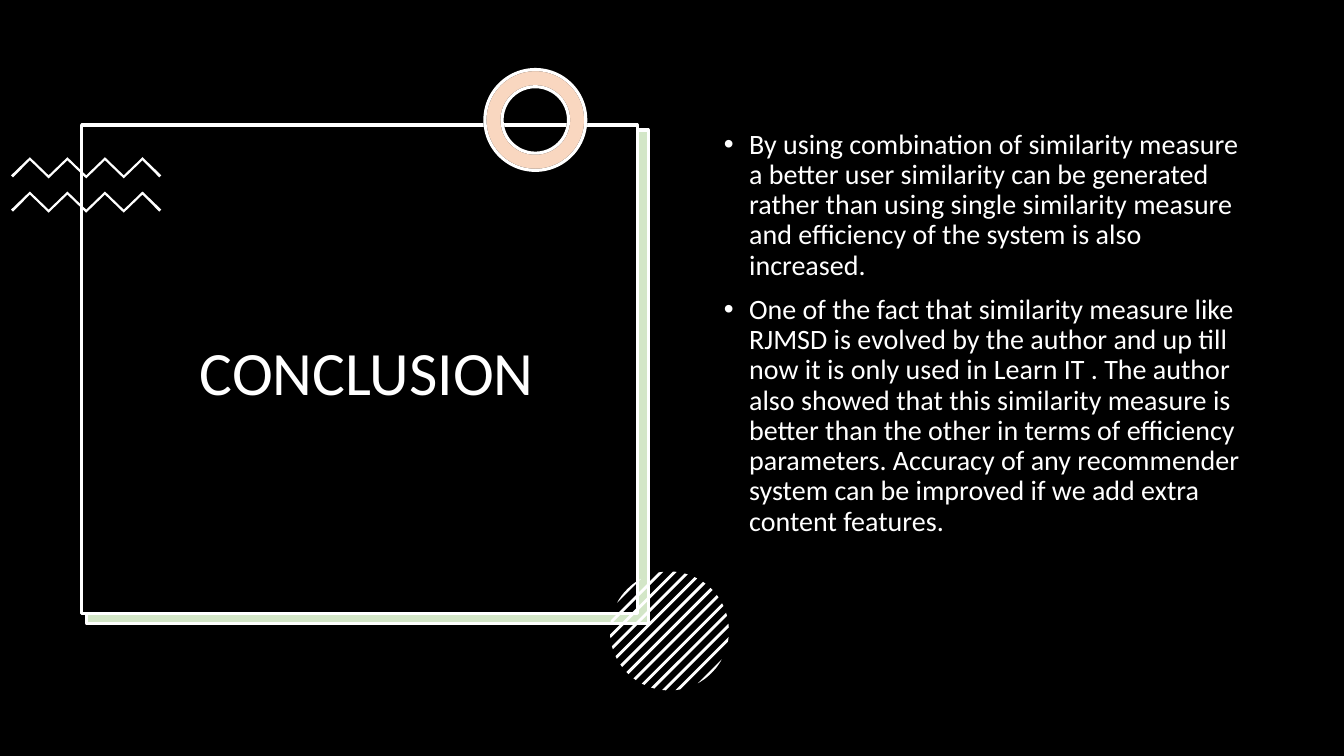
from math import acos, cos, pi, sin

from lxml import etree
from pptx import Presentation
from pptx.dml.color import RGBColor
from pptx.enum.shapes import MSO_SHAPE
from pptx.enum.text import MSO_ANCHOR, MSO_AUTO_SIZE, PP_ALIGN
from pptx.oxml.ns import qn
from pptx.util import Pt

RECT, DONUT = MSO_SHAPE.RECTANGLE, MSO_SHAPE.DONUT
TOP, MIDDLE = MSO_ANCHOR.TOP, MSO_ANCHOR.MIDDLE
LEFT, CENTER = PP_ALIGN.LEFT, PP_ALIGN.CENTER
NO_AUTOFIT = MSO_AUTO_SIZE.NONE

PX = 9144  # EMU per px, 100 px to the inch
FONT = "Calibri"
COLORS = {"black": "000000", "white": "FFFFFF", "green": "70AD47", "orange": "ED7D31"}

CONCLUSIONS = [
    "By using combination of similarity measure a better user similarity can be generated "
    "rather than using single similarity measure and efficiency of the system is also increased.",
    "One of the fact that similarity measure like RJMSD is evolved by the author and up till "
    "now it is only used in Learn IT . The author also showed that this similarity measure is "
    "better than the other in terms of efficiency parameters. Accuracy of any recommender "
    "system can be improved if we add extra content features.",
]


def emu(*lengths):
    return [round(length * PX) for length in lengths]


def color(name):
    return RGBColor.from_string(COLORS[name])


def paint(shape, fill, line=None, alpha=None):
    shape.shadow.inherit = False
    shape.fill.solid()
    shape.fill.fore_color.rgb = color(fill)
    if alpha:
        fill_color = shape.element.find(".//" + qn("a:srgbClr"))
        etree.SubElement(fill_color, qn("a:alpha"), val=str(alpha * 1000))
    if line:
        shape.line.color.rgb = color(line)
        shape.line.width = Pt(2.25)
    else:
        shape.line.fill.background()


def add_preset(shapes, preset, box, fill, **look):
    shape = shapes.add_shape(preset, *emu(*box))
    paint(shape, fill, **look)
    return shape


def add_outline(shapes, points, fill):
    corners = [emu(*point) for point in points]
    builder = shapes.build_freeform(*corners[0])
    builder.add_line_segments(corners[1:], close=True)
    paint(builder.convert_to_shape(), fill)


def write(frame, paragraphs, size, align=LEFT, anchor=TOP, bullet=None, gap=0):
    frame.word_wrap = True
    frame.auto_size = NO_AUTOFIT
    frame.vertical_anchor = anchor
    for i, text in enumerate(paragraphs):
        paragraph = frame.paragraphs[0] if i == 0 else frame.add_paragraph()
        paragraph.text = text
        paragraph.alignment = align
        paragraph.line_spacing = 0.9
        paragraph.space_before = Pt(gap if i else 0)
        if bullet:
            properties = paragraph._p.get_or_add_pPr()
            indent = emu(25)[0]
            properties.set("marL", str(indent))
            properties.set("indent", str(-indent))
            etree.SubElement(properties, qn("a:buFont"), typeface="Arial")
            etree.SubElement(properties, qn("a:buChar"), char=bullet)
        for run in paragraph.runs:
            run.font.name = FONT
            run.font.size = Pt(size)
            run.font.color.rgb = color("white")


def place(placeholder, box):
    """Move a placeholder to its box, in front of the decoration."""
    placeholder.left, placeholder.top, placeholder.width, placeholder.height = emu(*box)
    placeholder.element.getparent().append(placeholder.element)


def draw_panel(shapes, x, y, w, h):
    """Framed black panel with a pale green offset edge."""
    add_preset(shapes, RECT, (x + 4, y + 6, w + 6, h + 5), "white")
    add_preset(shapes, RECT, (x + 5, y + 5, w + 6, h + 5), "green", line="white", alpha=30)
    add_preset(shapes, RECT, (x, y, w, h), "black", line="white")


def draw_zigzags(shapes, x, y, w, h, pitch, rows=2, segments=8, stroke=3):
    """Zigzag strokes, one under the other; h is the height of one."""
    group = shapes.add_group_shape()
    for row in range(rows):
        top = y + row * pitch
        upper = [(x + w * i / segments, top + (0 if i % 2 else h - stroke))
                 for i in range(segments + 1)]
        lower = [(px, py + stroke) for px, py in upper[1:-1]]
        end_y = top + h - 1
        add_outline(group.shapes,
                    upper + [(x + w - 2, end_y)] + lower[::-1] + [(x + 2, end_y)], "white")


def draw_ring(shapes, x, y, size):
    """Peach ring: a tint over a white base."""
    for fill, line, alpha in (("white", "black", None), ("orange", "white", 30)):
        ring = add_preset(shapes, DONUT, (x, y, size, size), fill, line=line, alpha=alpha)
        ring.adjustments[0] = 0.17


def draw_hatched_disc(shapes, x, y, size, side_strips=6, pitch=9.43, stroke=2.9, steps=8):
    """Diagonal strips clipped to a circle."""
    group = shapes.add_group_shape()
    radius = size / 2

    def on_circle(distance, side):
        angle = pi / 4 + side * acos(max(-1, min(1, distance / radius)))
        return x + radius + radius * cos(angle), y + radius + radius * sin(angle)

    for i in range(-side_strips, side_strips + 1):
        near, far = i * pitch - stroke / 2, i * pitch + stroke / 2
        if abs(i) == side_strips:  # the outermost strips reach the rim
            near, far = i * pitch, radius if i > 0 else -radius
        cuts = [near + (far - near) * step / steps for step in range(steps + 1)]
        add_outline(group.shapes, [on_circle(cut, 1) for cut in cuts]
                    + [on_circle(cut, -1) for cut in cuts[::-1]], "white")


def build_conclusion(slide, width, height):
    shapes = slide.shapes
    title, body = shapes.title, slide.placeholders[1]

    # Background and decoration
    add_preset(shapes, RECT, (0, 0, width, height), "black")
    draw_panel(shapes, 81, 124, 551, 485)
    draw_zigzags(shapes, 11, 156, 149, 21, pitch=34)
    draw_ring(shapes, 481, 69, 100)
    draw_hatched_disc(shapes, 605, 567, 118)

    # Title and bullet list
    place(title, (92, 152, 544, 442))
    write(title.text_frame, ["CONCLUSION"], 44, align=CENTER, anchor=MIDDLE)
    place(body, (708, 124, 544, 476))
    write(body.text_frame, CONCLUSIONS, 20, bullet="•", gap=10)


def main():
    width, height = 1333, 750
    deck = Presentation()
    deck.slide_width, deck.slide_height = emu(width, height)
    build_conclusion(deck.slides.add_slide(deck.slide_layouts[1]), width, height)
    deck.save("out.pptx")


if __name__ == "__main__":
    main()
